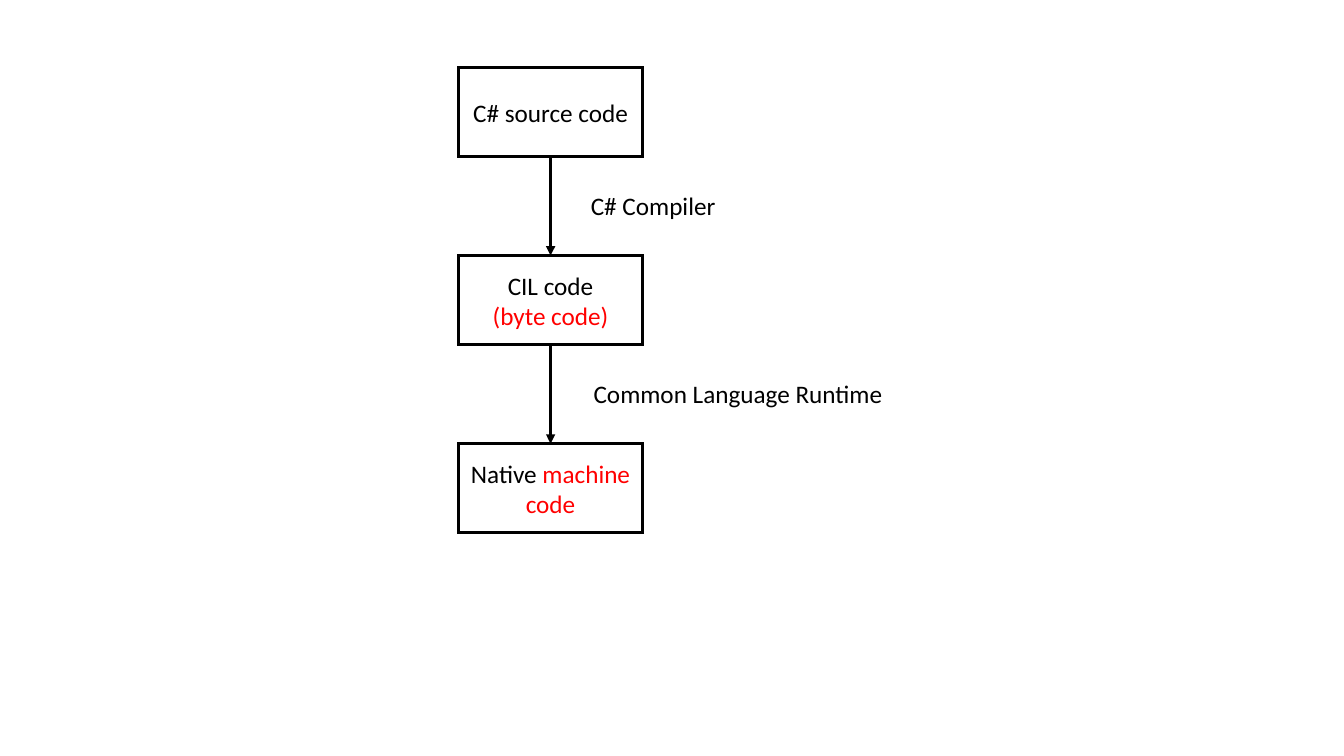
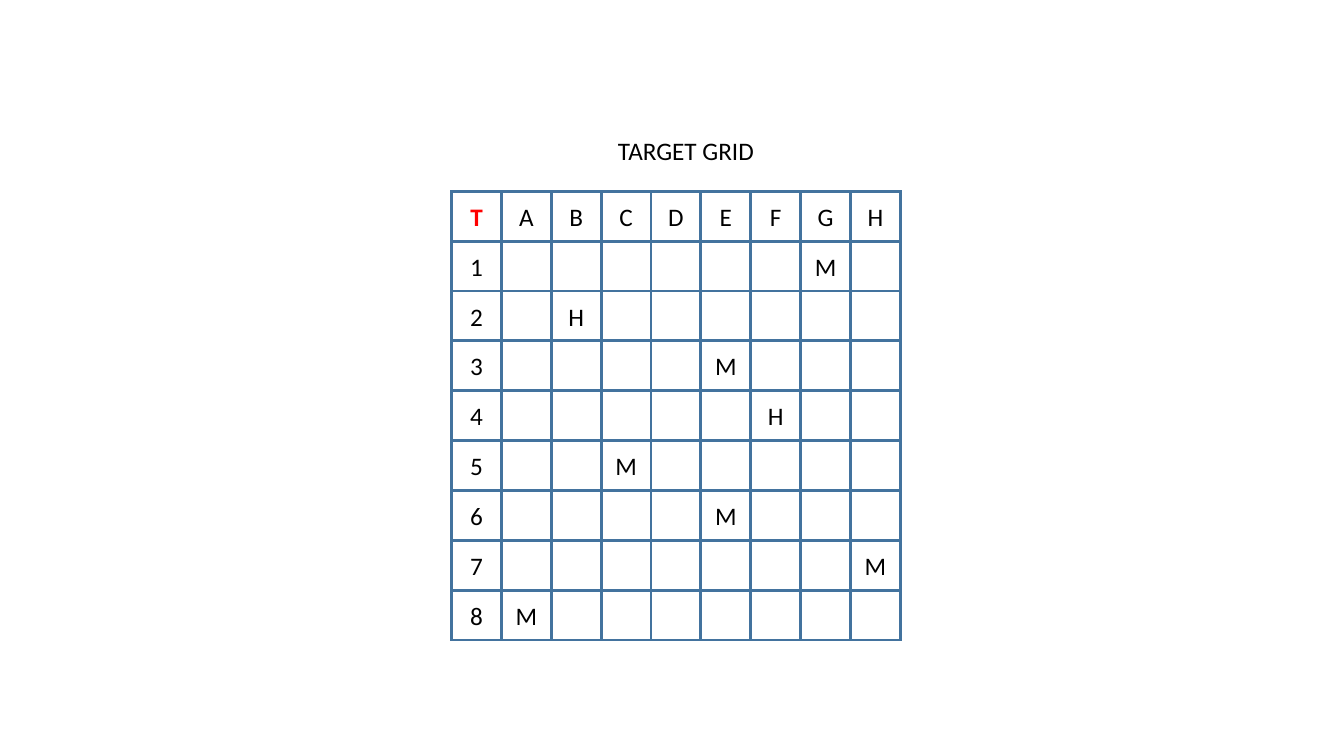
from dataclasses import dataclass
from itertools import pairwise

from pptx import Presentation
from pptx.dml.color import RGBColor
from pptx.enum import shapes, text
from pptx.oxml import parse_xml
from pptx.oxml import ns
from pptx.util import Cm, Pt


@dataclass(frozen=True)
class Theme:
    font: str = "Calibri"
    size: float = 18
    ink: str = "000000"
    red: str = "FF0000"
    paper: str = "FFFFFF"
    grid: str = "43739E"
    edge: float = 2
    arrow: float = 2.25


T = Theme()

STAGES = [
    [[("C# source code", T.ink)]],
    [[("CIL code", T.ink)], [("(byte code)", T.red)]],
    [[("Native ", T.ink), ("machine code", T.red)]],
]
STEPS = [("C# Compiler", 14.64, 3.7), ("Common Language Runtime", 14.71, 7.85)]

TITLE = "TARGET GRID"
CORNER = "T"
COLS = "ABCDEFGH"
ROWS = "12345678"
SHOTS = {
    "G1": "M", "B2": "H", "E3": "M", "F4": "H",
    "C5": "M", "E6": "M", "H7": "M", "A8": "M",
}

LEFT, TOP, WIDE, HIGH, PITCH = 11.56, 1.7, 4.63, 2.25, 4.74
LABEL_TOP, LABEL_HIGH = 4.68, 1.02
GRID_LEFT, GRID_TOP, GRID_SIDE = 11.38, 4.82, 11.31
CELL = GRID_SIDE / (len(COLS) + 1)
DECL = ns.nsdecls("a")


def rgb(code):
    return RGBColor.from_string(code)


def write(frame, paras, bold=False, align="LEFT", anchor="TOP", wrap=True):
    if isinstance(paras, str):
        paras = [[(paras, T.ink)]]
    frame.word_wrap = wrap
    frame.vertical_anchor = text.MSO_ANCHOR[anchor]
    for i, runs in enumerate(paras):
        para = frame.add_paragraph() if i else frame.paragraphs[0]
        para.alignment = text.PP_ALIGN[align]
        for words, color in runs:
            run = para.add_run()
            run.text = words
            font = run.font
            font.name, font.size, font.bold = T.font, Pt(T.size), bold
            font.color.rgb = rgb(color)


def add_box(slide, left, top, wide, high, paras, edge=T.ink, bold=False):
    box = slide.shapes.add_shape(
        shapes.MSO_SHAPE.RECTANGLE, Cm(left), Cm(top), Cm(wide), Cm(high))
    box.shadow.inherit = False
    box.fill.solid()
    box.fill.fore_color.rgb = rgb(T.paper)
    box.line.color.rgb = rgb(edge)
    box.line.width = Pt(T.edge)
    box._element.spPr.find(ns.qn("a:ln")).append(
        parse_xml(f'<a:miter {DECL} lim="800000"/>'))
    if paras:
        write(box.text_frame, paras, bold=bold, align="CENTER", anchor="MIDDLE")
    return box


def add_arrow(slide, start, end):
    link = slide.shapes.add_connector(shapes.MSO_CONNECTOR.STRAIGHT, 0, 0, 0, 0)
    link.begin_connect(start, 2)
    link.end_connect(end, 0)
    link.line.color.rgb = rgb(T.ink)
    link.line.width = Pt(T.arrow)
    props = link._element.spPr
    props.find(ns.qn("a:ln")).append(
        parse_xml(f'<a:tailEnd {DECL} type="triangle"/>'))
    props.append(parse_xml(f"<a:effectLst {DECL}/>"))


def draw_flow(deck):
    slide = deck.slides.add_slide(deck.slide_layouts[6])
    boxes = [add_box(slide, LEFT, TOP + i * PITCH, WIDE, HIGH, paras)
             for i, paras in enumerate(STAGES)]
    for start, end in pairwise(boxes):
        add_arrow(slide, start, end)
    for i, (words, left, wide) in enumerate(STEPS):
        label = slide.shapes.add_textbox(
            Cm(left), Cm(LABEL_TOP + i * PITCH), Cm(wide), Cm(LABEL_HIGH))
        write(label.text_frame, words)


def draw_grid(deck):
    slide = deck.slides.add_slide(deck.slide_layouts[5])
    title = slide.shapes.title
    title.left, title.top = Cm(15.32), Cm(3.28)
    title.width, title.height = Cm(3.94), Cm(LABEL_HIGH)
    title.text_frame.auto_size = text.MSO_AUTO_SIZE.NONE
    write(title.text_frame, TITLE, wrap=False)

    marks = [[CORNER, *COLS]]
    marks += [[r, *(SHOTS.get(c + r, "") for c in COLS)] for r in ROWS]
    for y, line in enumerate(marks):
        for x, mark in enumerate(line):
            head = x == y == 0
            paras = [[(mark, T.red if head else T.ink)]] if mark else []
            add_box(slide, GRID_LEFT + x * CELL, GRID_TOP + y * CELL,
                    CELL, CELL, paras, edge=T.grid, bold=head)


def main():
    deck = Presentation()
    deck.slide_width, deck.slide_height = Cm(33.87), Cm(19.05)
    draw_flow(deck)
    draw_grid(deck)
    deck.save("out.pptx")


if __name__ == "__main__":
    main()
